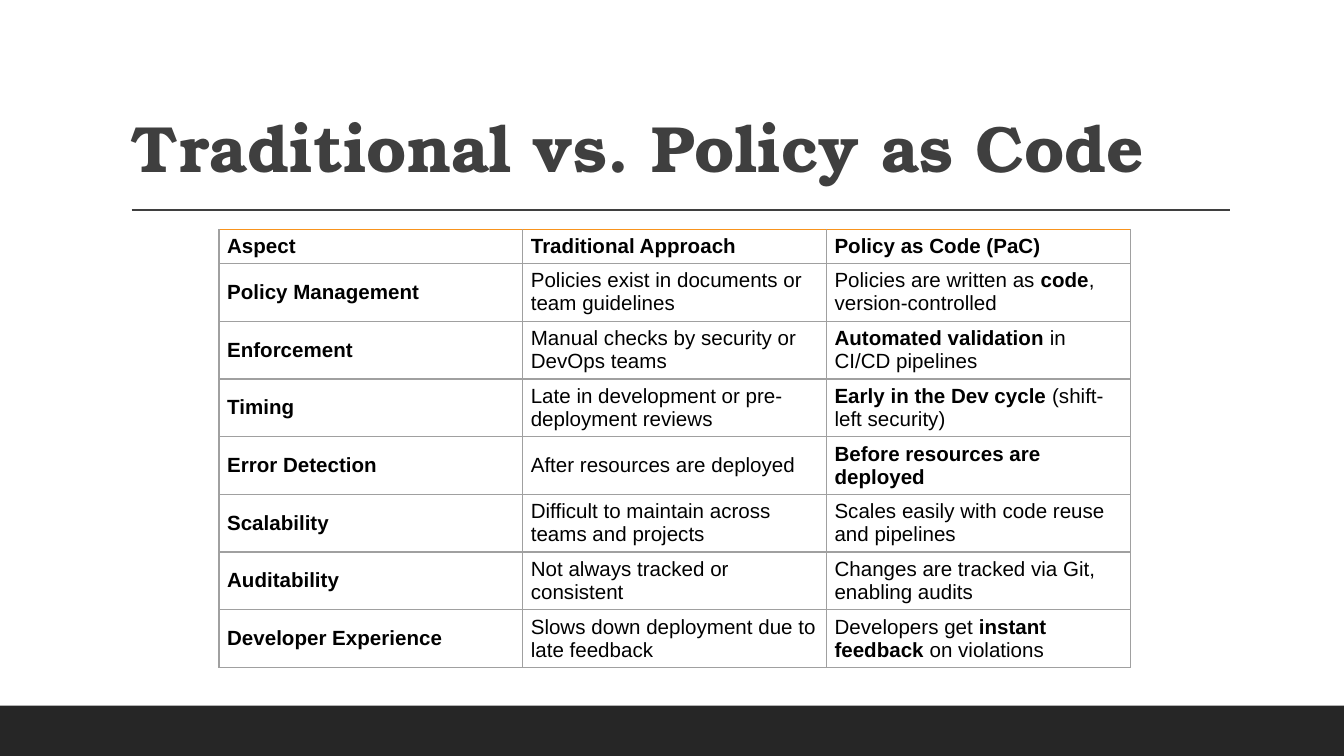
from lxml.etree import SubElement
from pptx import Presentation
from pptx.dml.color import RGBColor
from pptx.enum.shapes import MSO_CONNECTOR, MSO_SHAPE
from pptx.enum.text import MSO_ANCHOR
from pptx.oxml.ns import qn
from pptx.util import Inches, Pt

WIDTH = 10
HEIGHT = WIDTH * 9 / 16
COLORS = {"bar": "262626", "title": "3F3F3F", "text": "000000",
          "grid": "A0A0A0", "top": "F8931D"}
TITLE_FONT, BODY_FONT = "TeX Gyre Bonum", "Arial"

# Table grid: equal columns; the low rows grow to fit their text
LEFT, TOP, COL_WIDTH = 1.63, 1.71, 2.26
ROW_HEIGHTS = ([0.25] + [0.43] * 3) * 2

# Text between ** marks is bold
ROWS = [
    ("**Aspect**", "**Traditional Approach**", "**Policy as Code (PaC)**"),
    ("**Policy Management**", "Policies exist in documents or team guidelines",
     "Policies are written as **code**, version-controlled"),
    ("**Enforcement**", "Manual checks by security or DevOps teams",
     "**Automated validation** in CI/CD pipelines"),
    ("**Timing**", "Late in development or pre-deployment reviews",
     "**Early in the Dev cycle** (shift-left security)"),
    ("**Error Detection**", "After resources are deployed",
     "**Before resources are deployed**"),
    ("**Scalability**", "Difficult to maintain across teams and projects",
     "Scales easily with code reuse and pipelines"),
    ("**Auditability**", "Not always tracked or consistent",
     "Changes are tracked via Git, enabling audits"),
    ("**Developer Experience**", "Slows down deployment due to late feedback",
     "Developers get **instant feedback** on violations"),
]


def rgb(name):
    return RGBColor.from_string(COLORS[name])


def set_margins(box, x, y):
    box.margin_left = box.margin_right = Inches(x)
    box.margin_top = box.margin_bottom = Inches(y)


def add_runs(p, text, font, size, color):
    for i, part in enumerate(text.split("**")):
        if part:
            r = p.add_run()
            r.text = part
            r.font.name, r.font.size = font, Pt(size)
            r.font.bold = i % 2 == 1
            r.font.color.rgb = rgb(color)


def add_bar(slide, top):
    sp = slide.shapes.add_shape(MSO_SHAPE.RECTANGLE, 0, Inches(top),
                                Inches(WIDTH), Inches(HEIGHT - top))
    sp.shadow.inherit = False
    sp.fill.solid()
    sp.fill.fore_color.rgb = rgb("bar")
    sp.line.fill.background()


def add_rule(slide, x1, x2, y):
    line = slide.shapes.add_connector(MSO_CONNECTOR.STRAIGHT, Inches(x1),
                                      Inches(y), Inches(x2), Inches(y))
    line.line.color.rgb = rgb("title")
    line.line.width = Pt(1)
    SubElement(line._element.spPr, qn("a:effectLst"))


def add_title(slide, text):
    sp = slide.shapes.add_textbox(Inches(0.9), Inches(0.24),
                                  Inches(8.25), Inches(1.19))
    tf = sp.text_frame
    tf.word_wrap = True
    tf.vertical_anchor = MSO_ANCHOR.BOTTOM
    set_margins(tf, 0.08, 0.04)
    p = tf.paragraphs[0]
    p.line_spacing = 0.9
    add_runs(p, text, TITLE_FONT, 35, "title")


def set_borders(cell, top_color):
    tc_pr = cell._tc.get_or_add_tcPr()
    for i, side in enumerate(("lnL", "lnR", "lnT", "lnB")):
        ln = tc_pr.makeelement(qn(f"a:{side}"), {"w": str(Pt(0.75))})
        fill = SubElement(ln, qn("a:solidFill"))
        color = top_color if side == "lnT" else "grid"
        SubElement(fill, qn("a:srgbClr"), val=COLORS[color])
        tc_pr.insert(i, ln)  # borders come before the fill


def add_comparison_table(slide, rows):
    n_cols = len(rows[0])
    table = slide.shapes.add_table(
        len(rows), n_cols, Inches(LEFT), Inches(TOP),
        Inches(COL_WIDTH * n_cols), Inches(sum(ROW_HEIGHTS))).table
    table.first_row = table.horz_banding = False
    for col in table.columns:
        col.width = Inches(COL_WIDTH)
    for i, texts in enumerate(rows):
        table.rows[i].height = Inches(ROW_HEIGHTS[i])
        for j, text in enumerate(texts):
            cell = table.cell(i, j)
            cell.fill.background()
            cell.vertical_anchor = MSO_ANCHOR.MIDDLE
            set_margins(cell, 0.06, 0.03)
            set_borders(cell, "grid" if i else "top")
            add_runs(cell.text_frame.paragraphs[0], text, BODY_FONT, 11, "text")


def main():
    prs = Presentation()
    prs.slide_width, prs.slide_height = Inches(WIDTH), Inches(HEIGHT)
    slide = prs.slides.add_slide(prs.slide_layouts[6])

    # Frame of the slide
    add_bar(slide, 5.25)
    add_rule(slide, 0.98, 9.15, 1.56)

    # Content
    add_title(slide, "**Traditional vs. Policy as Code**")
    add_comparison_table(slide, ROWS)
    prs.save("out.pptx")


if __name__ == "__main__":
    main()
